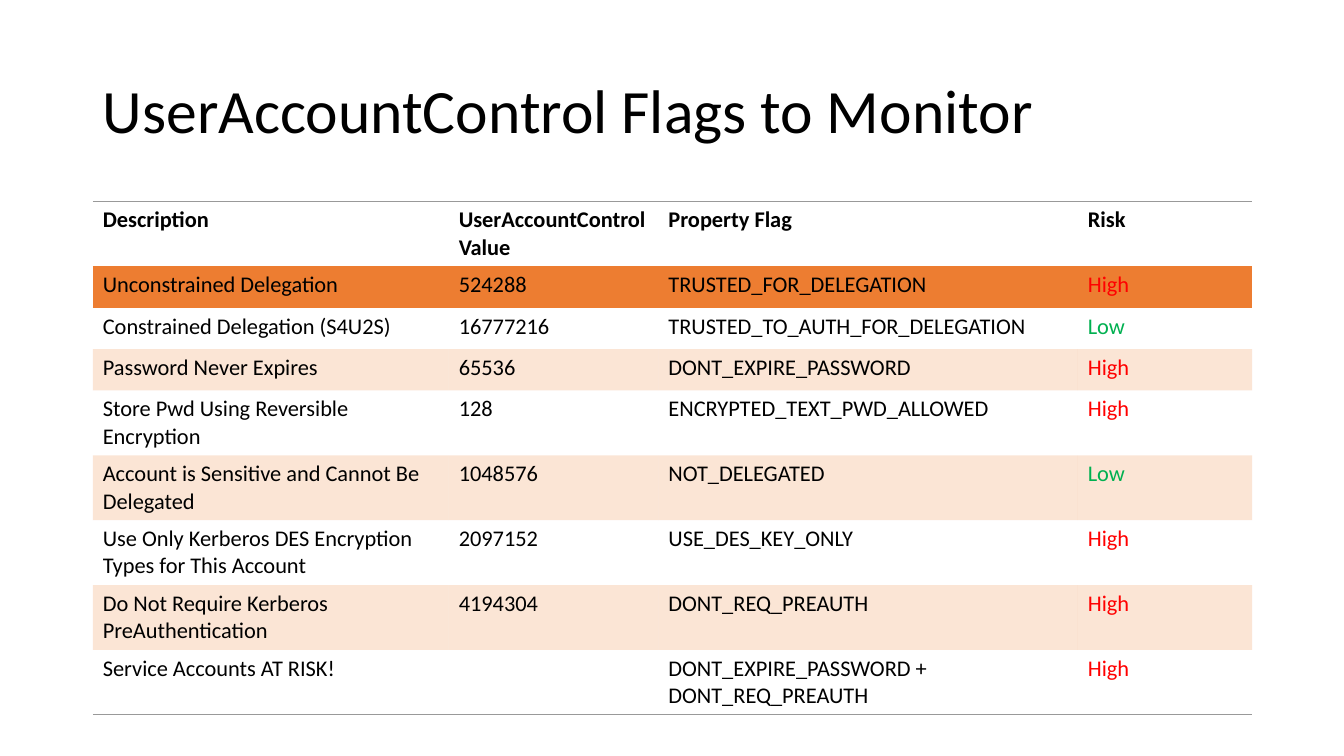
from lxml.etree import SubElement
from pptx import Presentation
from pptx.dml.color import RGBColor
from pptx.enum.text import MSO_ANCHOR, PP_ALIGN
from pptx.oxml.ns import qn
from pptx.util import Inches, Pt

TITLE = "UserAccountControl Flags to Monitor"
HEADINGS = ("Description", "UserAccountControl Value", "Property Flag", "Risk")
FLAGS = [
    ("Unconstrained Delegation", "524288", "TRUSTED_FOR_DELEGATION", "High"),
    ("Constrained Delegation (S4U2S)", "16777216", "TRUSTED_TO_AUTH_FOR_DELEGATION", "Low"),
    ("Password Never Expires", "65536", "DONT_EXPIRE_PASSWORD", "High"),
    ("Store Pwd Using Reversible Encryption", "128", "ENCRYPTED_TEXT_PWD_ALLOWED", "High"),
    ("Account is Sensitive and Cannot Be Delegated", "1048576", "NOT_DELEGATED", "Low"),
    ("Use Only Kerberos DES Encryption Types for This Account", "2097152",
     "USE_DES_KEY_ONLY", "High"),
    ("Do Not Require Kerberos PreAuthentication", "4194304", "DONT_REQ_PREAUTH", "High"),
    ("Service Accounts AT RISK!", "", "DONT_EXPIRE_PASSWORD + DONT_REQ_PREAUTH", "High"),
]
COLORS = {"text": "000000", "band": "ED7D31", "rule": "ED7D31", "edge": "999999",
          "High": "FF0000", "Low": "00B050"}
FONT = "Calibri"
LEFT, WIDTH = 0.92, 11.5
TITLE_TOP, TITLE_HEIGHT = 0.4, 1.45
TABLE_TOP, ROW_HEIGHT = 2, 0.41
COLUMN_WIDTHS = (3.53, 2.08, 4.16, 1.73)
BAND_OPACITY = 20
PLAIN_TABLE_STYLE = "{2D5ABB26-0587-4C30-8999-92F81FD0307C}"


def write(frame, text, size=16, color="text", bold=False, spacing=None):
    """Put one formatted paragraph into a text frame."""
    para = frame.paragraphs[0]
    para.alignment = PP_ALIGN.LEFT
    para.line_spacing = spacing
    if not text:
        para.font.size = Pt(size)
        return
    span = para.add_run()
    span.text = text
    span.font.name, span.font.size, span.font.bold = FONT, Pt(size), bold
    span.font.color.rgb = RGBColor.from_string(COLORS[color])


def add_border(cell, side, color):
    """Draw a one-point line on the top (T) or bottom (B) of a cell."""
    line = SubElement(cell._tc.get_or_add_tcPr(), qn(f"a:ln{side}"), w=str(Pt(1)))
    fill = SubElement(line, qn("a:solidFill"))
    SubElement(fill, qn("a:srgbClr"), val=COLORS[color])


def fill_band(cell):
    """Give a cell the translucent band colour."""
    cell.fill.solid()
    cell.fill.fore_color.rgb = RGBColor.from_string(COLORS["band"])
    color = cell._tc.tcPr.find(f".//{qn('a:solidFill')}[last()]/{qn('a:srgbClr')}")
    SubElement(color, qn("a:alpha"), val=str(BAND_OPACITY * 1000))


def add_title(page):
    """Place and format the title placeholder."""
    title = page.shapes.title
    title.left, title.top = Inches(LEFT), Inches(TITLE_TOP)
    title.width, title.height = Inches(WIDTH), Inches(TITLE_HEIGHT)
    title.text_frame.word_wrap = True
    title.text_frame.vertical_anchor = MSO_ANCHOR.MIDDLE
    write(title.text_frame, TITLE, size=44, spacing=0.9)


def add_flag_table(page):
    """Build the table of flags with banded rows."""
    rows = [HEADINGS, *FLAGS]
    table = page.shapes.add_table(
        len(rows), len(HEADINGS), Inches(LEFT), Inches(TABLE_TOP),
        Inches(WIDTH), Inches(ROW_HEIGHT * len(rows))).table
    table._tbl.tblPr.find(qn("a:tableStyleId")).text = PLAIN_TABLE_STYLE
    for column, width in zip(table.columns, COLUMN_WIDTHS):
        column.width = Inches(width)
    for r, row in enumerate(rows):
        table.rows[r].height = Inches(ROW_HEIGHT)
        for c, text in enumerate(row):
            cell = table.cell(r, c)
            write(cell.text_frame, text, bold=r == 0,
                  color=text if text in ("High", "Low") else "text")
            if r == 0:
                add_border(cell, "T", "edge")
                add_border(cell, "B", "rule")
            elif r == 1:
                add_border(cell, "T", "rule")
            elif r == len(FLAGS):
                add_border(cell, "B", "edge")
            if r % 2:
                fill_band(cell)
            else:
                cell.fill.background()


deck = Presentation()
deck.slide_width, deck.slide_height = Inches(13.33), Inches(7.5)
page = deck.slides.add_slide(deck.slide_layouts[5])
add_title(page)
add_flag_table(page)
deck.save("out.pptx")
